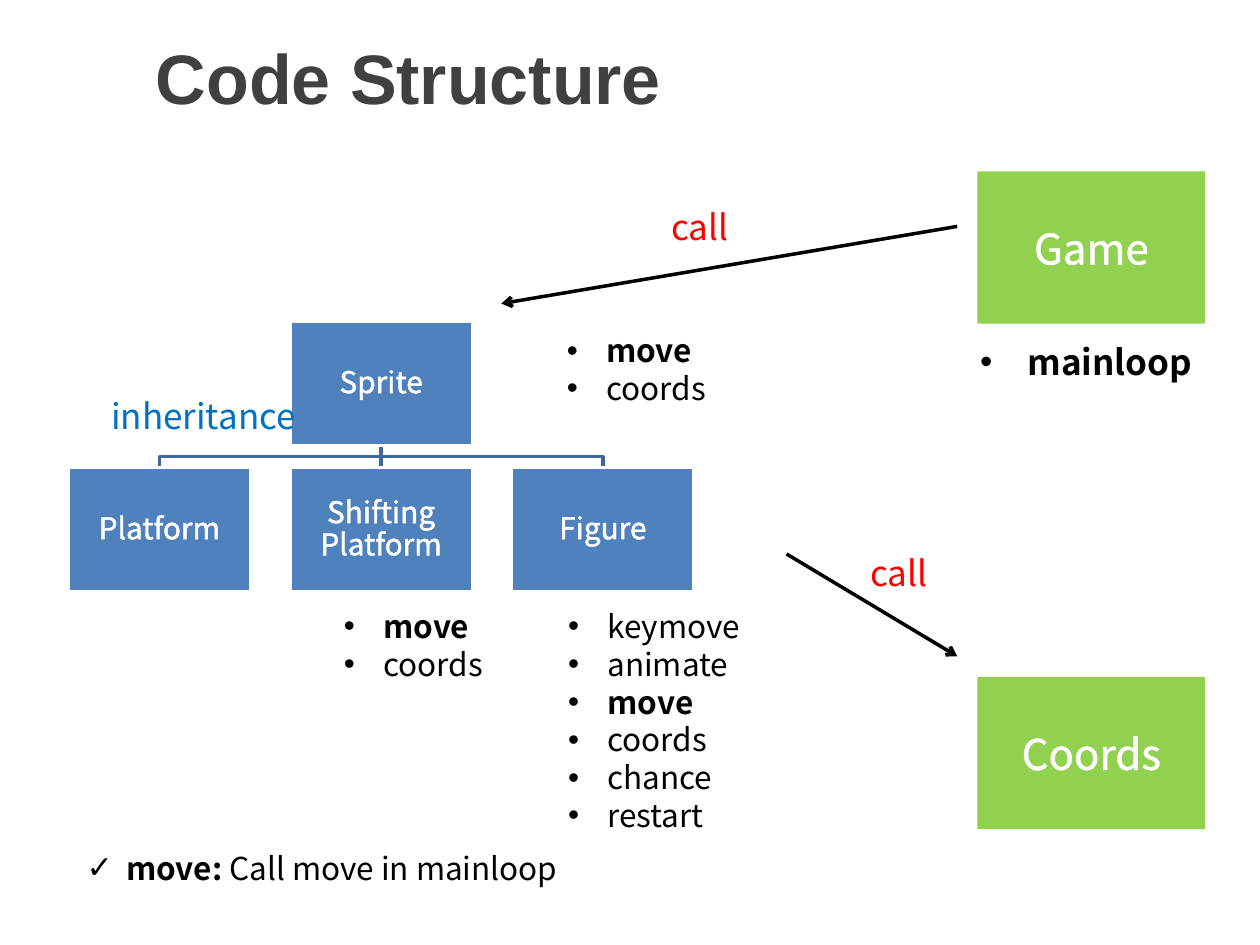
from dataclasses import dataclass

from lxml import etree
from pptx import Presentation
from pptx.dml.color import RGBColor
from pptx.enum.shapes import MSO_CONNECTOR, MSO_SHAPE
from pptx.enum.text import MSO_ANCHOR, PP_ALIGN
from pptx.oxml import parse_xml
from pptx.oxml.ns import nsdecls, qn
from pptx.util import Pt

STRAIGHT = MSO_CONNECTOR.STRAIGHT
RECTANGLE = MSO_SHAPE.RECTANGLE
MIDDLE, TOP = MSO_ANCHOR.MIDDLE, MSO_ANCHOR.TOP
LEFT, CENTER = PP_ALIGN.LEFT, PP_ALIGN.CENTER
SIDE_TOP, SIDE_BOTTOM = 0, 2


@dataclass(frozen=True)
class Theme:
    title_font: str = "Arial"
    body_font: str = "Noto Sans CJK KR"
    title: str = "404040"
    ink: str = "000000"
    white: str = "FFFFFF"
    node: str = "4F81BD"
    branch: str = "3F6797"
    module: str = "92D050"
    call: str = "FF0000"
    inheritance: str = "0070C0"
    title_size: float = 40
    module_size: float = 24
    label_size: float = 20
    list_size: float = 18
    node_size: float = 17


theme = Theme()


def write(box, lines, size, color, font=theme.body_font, align=LEFT, anchor=TOP,
          bullet=None, indent=0, outlined=False):
    """Fill a shape with lines, each a list of (text, bold) runs."""
    frame = box.text_frame
    frame.word_wrap = True
    frame.vertical_anchor = anchor
    for index, runs in enumerate(lines):
        para = frame.paragraphs[0] if index == 0 else frame.add_paragraph()
        para.alignment = align
        if bullet:
            properties = para._p.get_or_add_pPr()
            properties.set("marL", str(Pt(indent)))
            properties.set("indent", str(-Pt(indent)))
            etree.SubElement(properties, qn("a:buFont")).set("typeface", theme.title_font)
            etree.SubElement(properties, qn("a:buChar")).set("char", bullet)
        for text, bold in runs:
            span = para.add_run()
            span.text = text
            span.font.name = font
            span.font.size = Pt(size)
            span.font.bold = bold
            span.font.color.rgb = RGBColor.from_string(color)
            if outlined:
                span._r.get_or_add_rPr().insert(0, parse_xml(
                    f'<a:ln {nsdecls("a")} w="{Pt(1.45)}"><a:solidFill>'
                    f'<a:srgbClr val="{color}"/></a:solidFill></a:ln>'))


def style_line(shape, color, arrow=False):
    shape.line.color.rgb = RGBColor.from_string(color)
    shape.line.width = Pt(2)
    if arrow:
        etree.SubElement(shape.line._get_or_add_ln(), qn("a:tailEnd")).set("type", "arrow")
    if shape._element.spPr.find(qn("a:effectLst")) is None:
        etree.SubElement(shape._element.spPr, qn("a:effectLst"))


deck = Presentation()
deck.slide_width, deck.slide_height = Pt(720), Pt(540)
page = deck.slides.add_slide(deck.slide_layouts[6])
shapes = page.shapes

title = shapes.add_textbox(Pt(82), Pt(1.5), Pt(638), Pt(84))
write(title, [[("Code Structure", True)]], theme.title_size, theme.title,
      font=theme.title_font, anchor=MIDDLE)

# Class tree: Sprite above its three subclasses
node_width, node_height, node_pitch = 129.4, 71, 126.7
node_width = 104.4
first_left, parent_top, child_top = 38.9, 183.6, 267.1
parent_bottom = parent_top + node_height
bend = (parent_bottom + child_top) / 2
child_lefts = [first_left + column * node_pitch for column in range(3)]
child_centers = [left + node_width / 2 for left in child_lefts]
trunk = child_centers[1]

for center in (child_centers[2], child_centers[0]):
    outline = shapes.build_freeform(Pt(trunk), Pt(parent_bottom))
    outline.add_line_segments(
        [(Pt(trunk), Pt(bend)), (Pt(center), Pt(bend)), (Pt(center), Pt(child_top))],
        close=False)
    branch = outline.convert_to_shape()
    branch.fill.background()
    style_line(branch, theme.branch)
stem = shapes.add_connector(STRAIGHT, Pt(trunk), Pt(parent_bottom), Pt(trunk), Pt(child_top))
style_line(stem, theme.branch)

nodes = {}
for name, left, top in [
    ("Sprite", child_lefts[1], parent_top),
    ("Platform", child_lefts[0], child_top),
    ("Shifting Platform", child_lefts[1], child_top),
    ("Figure", child_lefts[2], child_top),
]:
    node = shapes.add_shape(RECTANGLE, Pt(left), Pt(top), Pt(node_width), Pt(node_height))
    node.shadow.inherit = False
    node.fill.solid()
    node.fill.fore_color.rgb = RGBColor.from_string(theme.node)
    style_line(node, theme.white)
    frame = node.text_frame
    frame.margin_left = frame.margin_right = frame.margin_top = frame.margin_bottom = Pt(0.85)
    write(node, [[(name, False)]], theme.node_size, theme.white,
          align=CENTER, anchor=MIDDLE, outlined=True)
    frame.paragraphs[0].line_spacing = 0.9
    nodes[name] = node
stem.begin_connect(nodes["Sprite"], SIDE_BOTTOM)
stem.end_connect(nodes["Shifting Platform"], SIDE_TOP)

# Modules that call the tree or are called by it
for name, top in [("Game", 98), ("Coords", 386.8)]:
    module = shapes.add_shape(RECTANGLE, Pt(558.5), Pt(top), Pt(130.2), Pt(87))
    module.shadow.inherit = False
    module.fill.solid()
    module.fill.fore_color.rgb = RGBColor.from_string(theme.module)
    module.line.fill.background()
    write(module, [[(name, False)]], theme.module_size, theme.white,
          align=CENTER, anchor=MIDDLE, outlined=True)

for start_x, start_y, end_x, end_y in [(547, 129.4, 286.5, 173.5), (449.5, 316.6, 547, 375)]:
    arrow = shapes.add_connector(STRAIGHT, Pt(start_x), Pt(start_y), Pt(end_x), Pt(end_y))
    style_line(arrow, theme.ink, arrow=True)

for text, color, left, top, width in [
    ("call ", theme.call, 370.8, 113.8, 62.6),
    ("call ", theme.call, 484.6, 311.8, 62.6),
    ("inheritance", theme.inheritance, 42.5, 221.8, 147.6),
]:
    label = shapes.add_textbox(Pt(left), Pt(top), Pt(width), Pt(31.5))
    write(label, [[(text, False)]], theme.label_size, color, align=CENTER)

# Methods of each class, and the closing remark
move, coords = [("move", True)], [("coords", False)]
keymove, animate, chance, restart = (
    [(name, False)] for name in ("keymove", "animate", "chance", "restart"))
remark = [("move: ", True), ("Call move in mainloop", False)]
for lines, left, top, width, size, bullet, indent in [
    ([move, coords], 316.8, 185.8, 106.6, theme.list_size, "•", 22.5),
    ([move, coords], 189.4, 343.4, 106.6, theme.list_size, "•", 22.5),
    ([keymove, animate, move, coords, chance, restart],
     317.5, 343.4, 133.2, theme.list_size, "•", 22.5),
    ([[("mainloop", True)]], 553, 190.8, 139.7, theme.label_size, "•", 27),
    ([remark], 42.5, 481.7, 283.7, theme.list_size, "✓", 22.5),
]:
    height = 7.2 + 1.21 * size * len(lines)
    methods = shapes.add_textbox(Pt(left), Pt(top), Pt(width), Pt(height))
    write(methods, lines, size, theme.ink, bullet=bullet, indent=indent)

deck.save("out.pptx")
